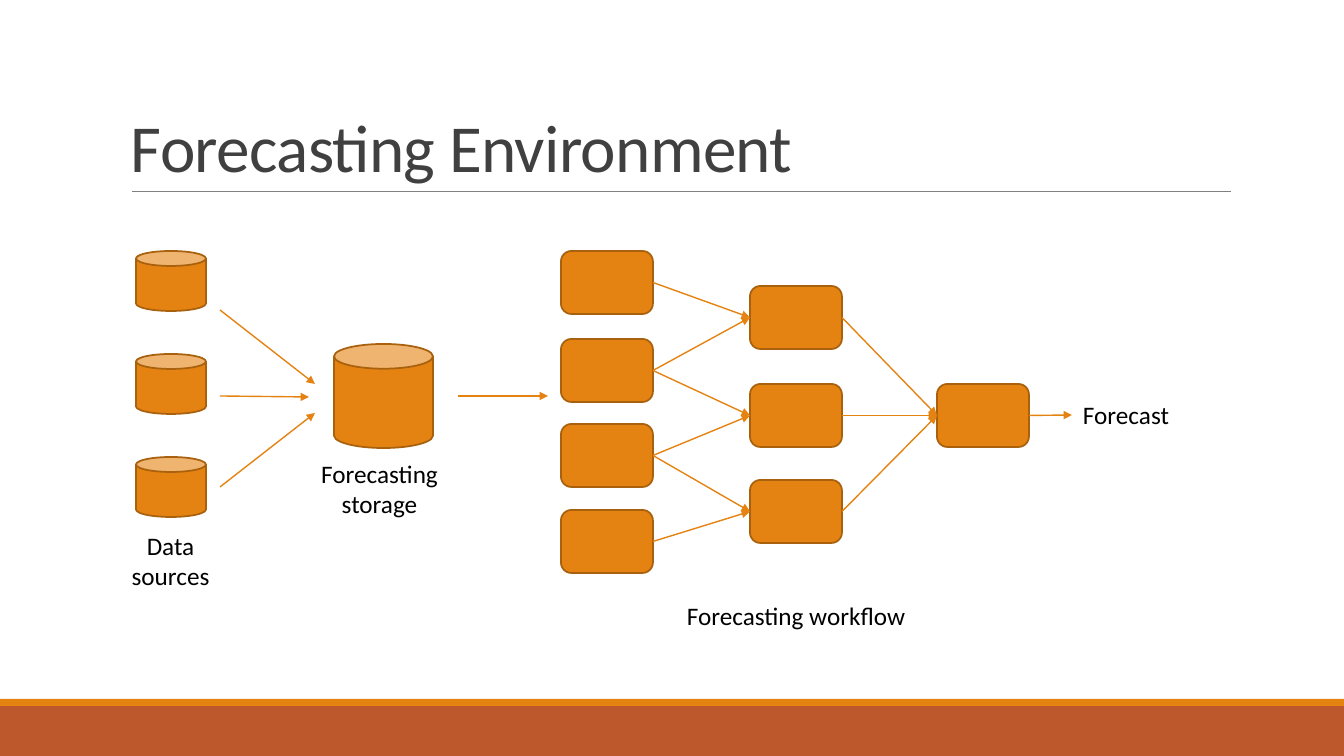
"""Build the Forecasting Environment slide."""
from lxml.etree import SubElement
from pptx import Presentation
from pptx.dml.color import RGBColor
from pptx.enum.shapes import MSO_CONNECTOR, MSO_SHAPE
from pptx.enum.text import MSO_ANCHOR, PP_ALIGN
from pptx.oxml.ns import qn
from pptx.util import Pt

PX = 914400 / 100.8
COLORS = {"orange": "E48312", "edge": "A9610D", "rust": "BD582C",
          "rule": "808080", "title": "404040", "text": "000000"}

TITLE = ("Forecasting Environment", (121, 31, 1109, 160))
LABELS = [
    ("Data sources", (121, 525, 99, 72)),
    ("Forecasting storage", (301, 453, 157, 72)),
    ("Forecasting workflow", (623, 595, 346, 40)),
    ("Forecast", (1023, 394, 206, 41)),
]
BANDS = [("rust", (0, 706, 1344, 50)), ("orange", (0, 699, 1344, 7))]
RULE = (132, 191, 1231, 191)

SOURCES = [(136, 251 + 103 * row, 70, 60) for row in range(3)]
STORAGE = (334, 344, 99, 104)
BOX = (92, 63)
STAGES = [(561, [251, 339, 424, 510]), (750, [286, 384, 480]), (937, [384])]
LINKS = [
    [(0, 0), (1, 0), (1, 1), (2, 1), (2, 2), (3, 2)],
    [(0, 0), (1, 0), (2, 0)],
]
FEEDS = [(220, 310, 315, 384), (220, 487, 315, 413),
         (220, 396, 309, 397), (458, 396, 548, 396)]
OUTPUT = (1029, 415, 1072, 415)


def emu(spot):
    return [round(n * PX) for n in spot]


def color(name):
    return RGBColor.from_string(COLORS[name])


def add_form(slide, kind, spot, fill="orange", edge="edge"):
    form = slide.shapes.add_shape(kind, *emu(spot))
    form.shadow.inherit = False
    form.fill.solid()
    form.fill.fore_color.rgb = color(fill)
    if edge:
        form.line.color.rgb = color(edge)
        form.line.width = Pt(1.25)
    else:
        form.line.fill.background()
    return form


def add_line(slide, ends, tint="orange", width=1, arrow=True):
    line = slide.shapes.add_connector(MSO_CONNECTOR.STRAIGHT, *emu(ends))
    line.line.color.rgb = color(tint)
    line.line.width = Pt(width)
    if arrow:
        SubElement(line.line._get_or_add_ln(), qn("a:tailEnd"), type="triangle")
    SubElement(line._element.spPr, qn("a:effectLst"))
    return line


def add_text(slide, text, spot, size=18, tint="text", align=PP_ALIGN.CENTER):
    frame = slide.shapes.add_textbox(*emu(spot)).text_frame
    frame.word_wrap = True
    para = frame.paragraphs[0]
    para.alignment = align
    run = para.add_run()
    run.text = text
    run.font.name = "Calibri"
    run.font.size = Pt(size)
    run.font.color.rgb = color(tint)
    return frame


def add_title(slide):
    frame = add_text(slide, *TITLE, 48, "title", PP_ALIGN.LEFT)
    frame.vertical_anchor = MSO_ANCHOR.BOTTOM
    para = frame.paragraphs[0]
    para.line_spacing = 0.85
    para.runs[0]._r.get_or_add_rPr().set("spc", "-50")


def add_flow(slide):
    cols = [[add_form(slide, MSO_SHAPE.ROUNDED_RECTANGLE, (left, top, *BOX))
             for top in tops] for left, tops in STAGES]
    for links, col, after in zip(LINKS, cols, cols[1:]):
        for start, end in links:
            line = add_line(slide, (0, 0, 0, 0))
            line.begin_connect(col[start], 3)
            line.end_connect(after[end], 1)
    add_line(slide, OUTPUT).begin_connect(cols[-1][0], 3)


def main():
    deck = Presentation()
    deck.slide_width, deck.slide_height = emu((1344, 756))
    slide = deck.slides.add_slide(deck.slide_layouts[6])
    for fill, spot in BANDS:
        add_form(slide, MSO_SHAPE.RECTANGLE, spot, fill, None)
    add_line(slide, RULE, "rule", 0.5, False)
    add_title(slide)
    for spot in [*SOURCES, STORAGE]:
        add_form(slide, MSO_SHAPE.CAN, spot)
    for ends in FEEDS:
        add_line(slide, ends)
    add_flow(slide)
    for text, spot in LABELS:
        add_text(slide, text, spot)
    deck.save("out.pptx")


if __name__ == "__main__":
    main()
